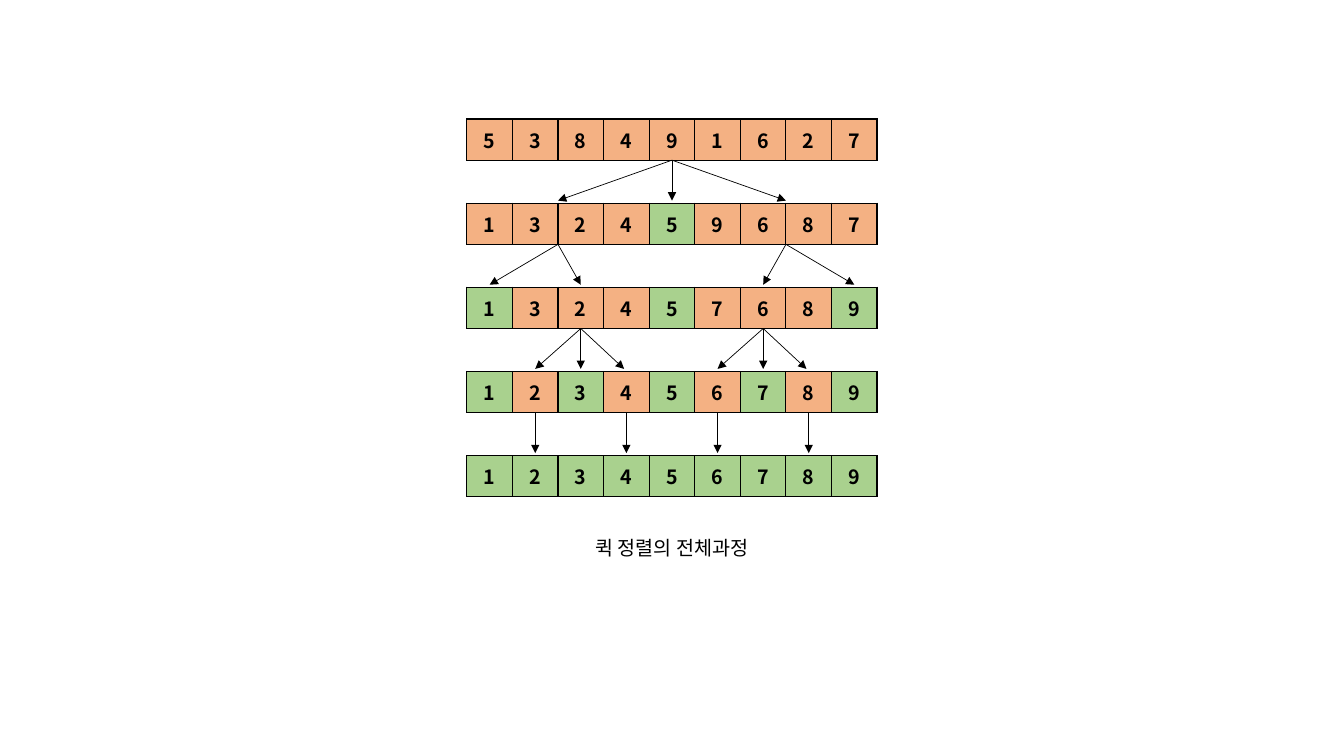
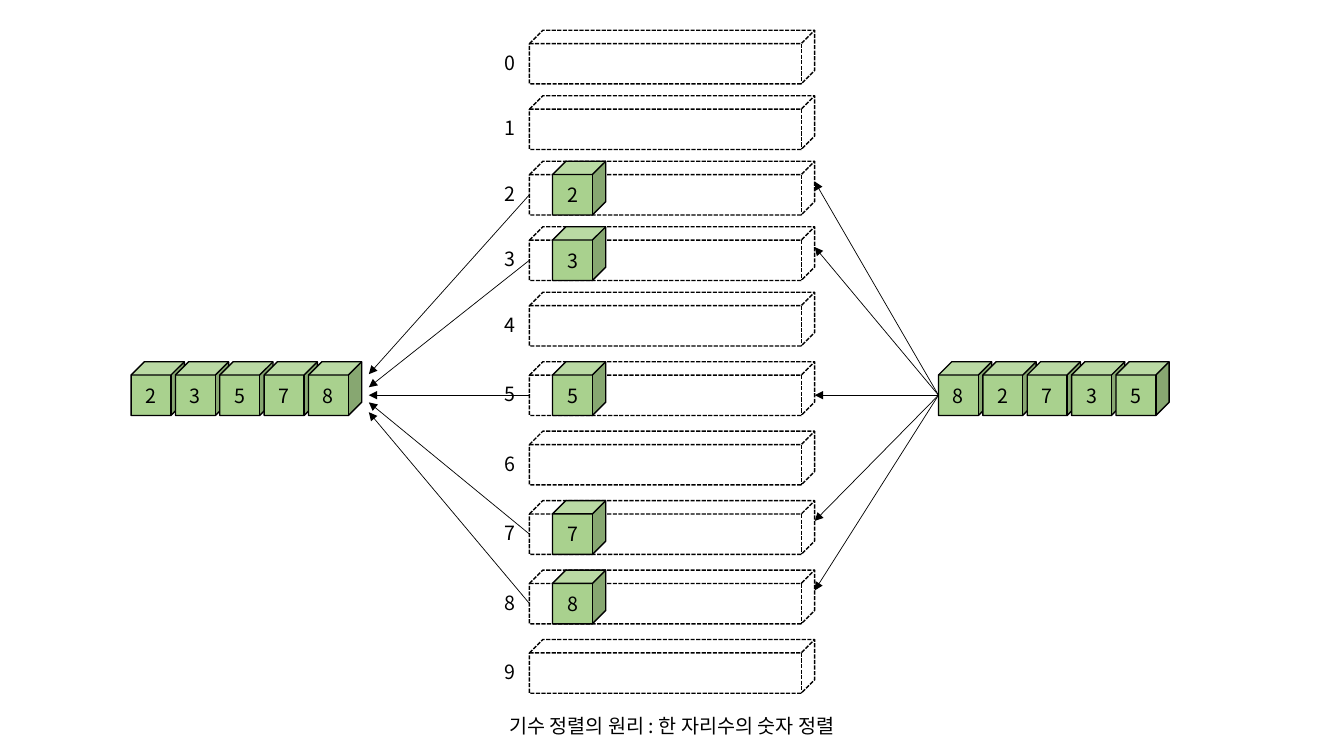
from dataclasses import dataclass

from pptx import Presentation
from pptx.dml.color import RGBColor
from pptx.enum.dml import MSO_LINE_DASH_STYLE as Dash
from pptx.enum.shapes import MSO_CONNECTOR as Connector, MSO_SHAPE as Shape
from pptx.enum.text import MSO_ANCHOR as Anchor, MSO_AUTO_SIZE as AutoSize, PP_ALIGN as Align
from pptx.oxml.ns import qn
from pptx.util import Inches, Pt
from lxml.etree import SubElement

BLACK, ORANGE, GREEN = "000000", "F4B183", "A9D18E"
FONT = "Noto Sans CJK KR"
TITLE_ONLY = 5


def color(value):
    return RGBColor.from_string(value)


@dataclass
class Grid:
    """Origin and cell size in inches."""
    left: float
    top: float
    column: float
    row: float

    def point(self, column, row):
        return Inches(self.left + column * self.column), Inches(self.top + row * self.row)

    def size(self, columns, rows):
        return Inches(columns * self.column), Inches(rows * self.row)


class Deck:
    def __init__(self):
        self.presentation = Presentation()
        self.presentation.slide_width = Inches(13.33)
        self.presentation.slide_height = Inches(7.5)
        self.slide = self.grid = None

    def new_slide(self, grid, caption, row):
        layout = self.presentation.slide_layouts[TITLE_ONLY]
        self.slide, self.grid = self.presentation.slides.add_slide(layout), grid
        # The caption below the diagram is the slide's title
        title = self.slide.shapes.title
        width = self.presentation.slide_width
        title.left, title.width = int(width * 0.23), int(width * 0.54)
        title.top, title.height = grid.point(0, row)[1], Inches(0.34)
        self.fill_text(title.text_frame, caption)

    def style_text(self, paragraph, text, bold=False):
        paragraph.text = text
        paragraph.alignment = Align.CENTER
        font = paragraph.font
        font.name, font.size, font.bold = FONT, Pt(14), bold
        font.color.rgb = color(BLACK)
        properties = paragraph._p.pPr.find(qn("a:defRPr"))
        SubElement(properties, qn("a:ea"), typeface=FONT)

    def fill_text(self, frame, text):
        frame.word_wrap = True
        frame.auto_size = AutoSize.NONE
        frame.vertical_anchor = Anchor.MIDDLE
        self.style_text(frame.paragraphs[0], text)

    def label(self, text, column, row, columns, rows):
        box = self.slide.shapes.add_textbox(
            *self.grid.point(column, row), *self.grid.size(columns, rows))
        self.fill_text(box.text_frame, text)

    def cube(self, column, row, columns, rows, text="", fill=None):
        cube = self.slide.shapes.add_shape(
            Shape.CUBE, *self.grid.point(column, row), *self.grid.size(columns, rows))
        cube.shadow.inherit = False
        cube.line.color.rgb = color(BLACK)
        cube.line.width = Pt(1)
        if fill:
            cube.fill.solid()
            cube.fill.fore_color.rgb = color(fill)
        else:
            cube.fill.background()
            cube.line.dash_style = Dash.SQUARE_DOT
        if text:
            self.fill_text(cube.text_frame, text)

    def arrow(self, start, end):
        arrow = self.slide.shapes.add_connector(
            Connector.STRAIGHT, *self.grid.point(*start), *self.grid.point(*end))
        arrow.line.color.rgb = color(BLACK)
        arrow.line.width = Pt(0.5)
        properties = arrow._element.spPr
        SubElement(properties.find(qn("a:ln")), qn("a:tailEnd"), type="triangle")
        SubElement(properties, qn("a:effectLst"))

    def array(self, digits, settled, row, rows):
        count = len(digits)
        table = self.slide.shapes.add_table(
            1, count, *self.grid.point(0, row), *self.grid.size(count, rows)).table
        table.first_row = table.horz_banding = False
        for index, digit in enumerate(digits):
            cell = table.cell(0, index)
            cell.vertical_anchor = Anchor.MIDDLE
            self.style_text(cell.text_frame.paragraphs[0], digit, bold=True)
            self.border(cell)
            cell.fill.solid()
            cell.fill.fore_color.rgb = color(GREEN if index in settled else ORANGE)

    def border(self, cell):
        properties = cell._tc.get_or_add_tcPr()
        for side in ("lnL", "lnR", "lnT", "lnB"):
            line = SubElement(properties, qn(f"a:{side}"), w=str(Pt(1)))
            fill = SubElement(line, qn("a:solidFill"))
            SubElement(fill, qn("a:srgbClr"), val=BLACK)


def quick_sort(deck):
    deck.new_slide(Grid(4.63, 1.18, 4.07 / 9, 3.34 / 4), "퀵 정렬의 전체과정", 4.89)
    height, gap = 0.49, 0.03

    # Array after each step, with the columns already in place
    steps = [
        ("538491627", ()),
        ("132459687", (4,)),
        ("132457689", (0, 4, 8)),
        ("123456789", (0, 2, 4, 6, 8)),
        ("123456789", range(9)),
    ]
    for row, (digits, settled) in enumerate(steps):
        deck.array(digits, settled, row, height)

    # Arrows below each row: starting column and the columns reached
    splits = [
        {4.5: (2, 4.5, 7)},
        {2: (0.5, 2.5), 7: (6.5, 8.5)},
        {2.5: (1.5, 2.5, 3.45), 6.5: (5.5, 6.5, 7.45)},
        {column: (column,) for column in (1.5, 3.5, 5.5, 7.5)},
    ]
    for row, split in enumerate(splits):
        for start, ends in split.items():
            for end in ends:
                deck.arrow((start, row + height), (end, row + 1 - gap))


def radix_sort(deck):
    deck.new_slide(Grid(1.3, 0.3, 0.44, 0.65), "기수 정렬의 원리 : 한 자리수의 숫자 정렬", 10.35)
    bin_left, bin_width, height = 8.98, 6.43, 0.82
    cube_width, input_left = 1.2, 18.2
    front_middle, side_middle = 0.51, 0.31

    # Lower bins stand slightly further apart
    bin_rows = [digit + 0.06 * max(digit - 4, 0) for digit in range(10)]
    middle = bin_rows[5]

    # Numbered bins
    for digit, row in enumerate(bin_rows):
        deck.label(str(digit), 7.84, row + 0.23, 1.41, 0.52)
        deck.cube(bin_left, row, bin_width, height)

    # Sorted output on the left, unsorted input on the right
    for left, digits in ((0, "23578"), (input_left, "82735")):
        for index, digit in enumerate(digits):
            deck.cube(left + index, middle, cube_width, height, digit, GREEN)

    # Each digit goes into its bin, then out to the sorted row
    output_rows = {2: 5.25, 3: 5.45, 5: middle + front_middle, 7: 5.68, 8: 5.83}
    for digit, output_row in output_rows.items():
        row = bin_rows[digit]
        entry = front_middle if digit == 5 else side_middle
        deck.arrow((input_left, middle + front_middle), (bin_left + bin_width, row + entry))
        deck.cube(9.5, row, cube_width, height, str(digit), GREEN)
        deck.arrow((bin_left, row + front_middle), (5.36, output_row))


def main():
    deck = Deck()
    quick_sort(deck)
    radix_sort(deck)
    deck.presentation.save("out.pptx")


if __name__ == "__main__":
    main()
